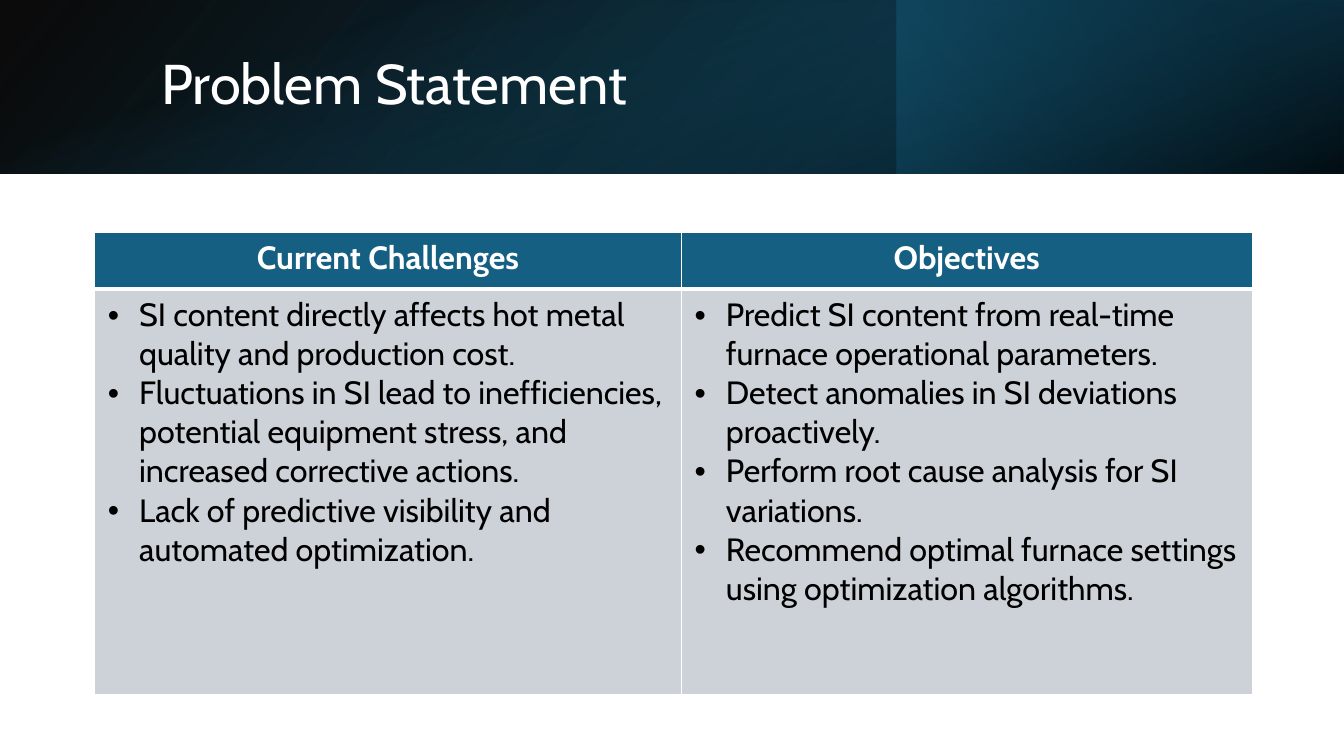
from lxml.etree import SubElement
from pptx import Presentation
from pptx.dml.color import RGBColor
from pptx.enum.shapes import MSO_SHAPE
from pptx.enum.text import MSO_ANCHOR, PP_ALIGN
from pptx.oxml import parse_xml
from pptx.oxml.ns import nsdecls, qn
from pptx.util import Inches, Pt

COLORS = {"white": "FFFFFF", "black": "000000", "teal": "156082",
          "deep": "104862", "night": "0B3041", "gray": "CCD2D8"}


def add_text(para, text, color, **font):
    span = para.add_run()
    span.text = text
    span.font.color.rgb = RGBColor.from_string(COLORS[color])
    for name, value in {"name": "Cabin", **font}.items():
        setattr(span.font, name, value)


deck = Presentation()
deck.slide_width, deck.slide_height = Inches(13.33), Inches(7.5)
page = deck.slides.add_slide(deck.slide_layouts[5])

bands = [
    {"at": (0, 0, 13.33, 1.72), "rotation": 0, "flip": True, "angle": 140,
     "stops": [(0, "black", 96), (1, "deep", 100)]},
    {"at": (8.89, 0, 4.44, 1.72), "rotation": 180, "flip": False, "angle": 320,
     "stops": [(0.19, "night", 68), (1, "teal", 79)]},
    {"at": (5.8, -5.8, 1.72, 13.33), "rotation": 90, "flip": False, "angle": 340,
     "stops": [(0.23, "teal", 0), (0.99, "black", 74)]},
]
for band in bands:
    box = page.shapes.add_shape(MSO_SHAPE.RECTANGLE, *map(Inches, band["at"]))
    box.shadow.inherit = False
    box.line.fill.background()
    box.rotation = band["rotation"]
    if band["flip"]:
        box.element.spPr.find(qn("a:xfrm")).set("flipH", "1")
    box.fill.gradient()
    box.fill.gradient_angle = 360 - band["angle"]
    for stop, (position, color, opacity) in zip(box.fill.gradient_stops, band["stops"]):
        stop.position = position
        stop.color.rgb = RGBColor.from_string(COLORS[color])
    tints = box.element.spPr.iter(qn("a:srgbClr"))
    for tint, (position, color, opacity) in zip(tints, band["stops"]):
        SubElement(tint, qn("a:alpha")).set("val", str(opacity * 1000))

title = page.shapes.title
title.element.getparent().append(title.element)
title.left, title.top, title.width, title.height = map(Inches, (1.5, 0.38, 10.98, 0.96))
title.text_frame.vertical_anchor = MSO_ANCHOR.MIDDLE
heading = title.text_frame.paragraphs[0]
heading.alignment = PP_ALIGN.LEFT
heading.line_spacing = 0.9
add_text(heading, "Problem Statement", "white", size=Pt(40))

columns = [
    ("Current Challenges", 5.82, [
        "SI content directly affects hot metal quality and production cost.",
        "Fluctuations in SI lead to inefficiencies, potential equipment stress, "
        "and increased corrective actions.",
        "Lack of predictive visibility and automated optimization.",
    ]),
    ("Objectives", 5.66, [
        "Predict SI content from real-time furnace operational parameters.",
        "Detect anomalies in SI deviations proactively.",
        "Perform root cause analysis for SI variations.",
        "Recommend optimal furnace settings using optimization algorithms.",
    ]),
]
table = page.shapes.add_table(2, 2, *map(Inches, (0.94, 2.31, 11.48, 4.58))).table
table.rows[0].height, table.rows[1].height = Inches(0.56), Inches(4.02)

for index, (header, width, points) in enumerate(columns):
    table.columns[index].width = Inches(width)
    add_text(table.cell(0, index).text_frame.paragraphs[0], header, "white",
             size=Pt(23), bold=True)
    table.cell(0, index).text_frame.paragraphs[0].alignment = PP_ALIGN.CENTER

    frame = table.cell(1, index).text_frame
    for number, point in enumerate(points):
        para = frame.add_paragraph() if number else frame.paragraphs[0]
        add_text(para, point, "black", size=Pt(23), bold=False)
        properties = para._p.get_or_add_pPr()
        properties.set("marL", str(Inches(0.31)))
        properties.set("indent", str(-Inches(0.31)))
        SubElement(properties, qn("a:buFont")).set("typeface", "Arial")
        SubElement(properties, qn("a:buChar")).set("char", "•")

    for row, (fill, top, bottom) in enumerate([("teal", 1, 3), ("gray", 3, 1)]):
        cell = table.cell(row, index)
        cell.fill.solid()
        cell.fill.fore_color.rgb = RGBColor.from_string(COLORS[fill])
        cell.margin_left = cell.margin_right = Inches(0.13)
        cell.margin_top = cell.margin_bottom = Inches(0.06)
        borders = {"lnL": 1, "lnR": 1, "lnT": top, "lnB": bottom}
        for place, (side, weight) in enumerate(borders.items()):
            cell._tc.get_or_add_tcPr().insert(place, parse_xml(
                f'<a:{side} {nsdecls("a")} w="{Pt(weight)}"><a:solidFill>'
                f'<a:srgbClr val="{COLORS["white"]}"/></a:solidFill></a:{side}>'))

deck.save("out.pptx")
